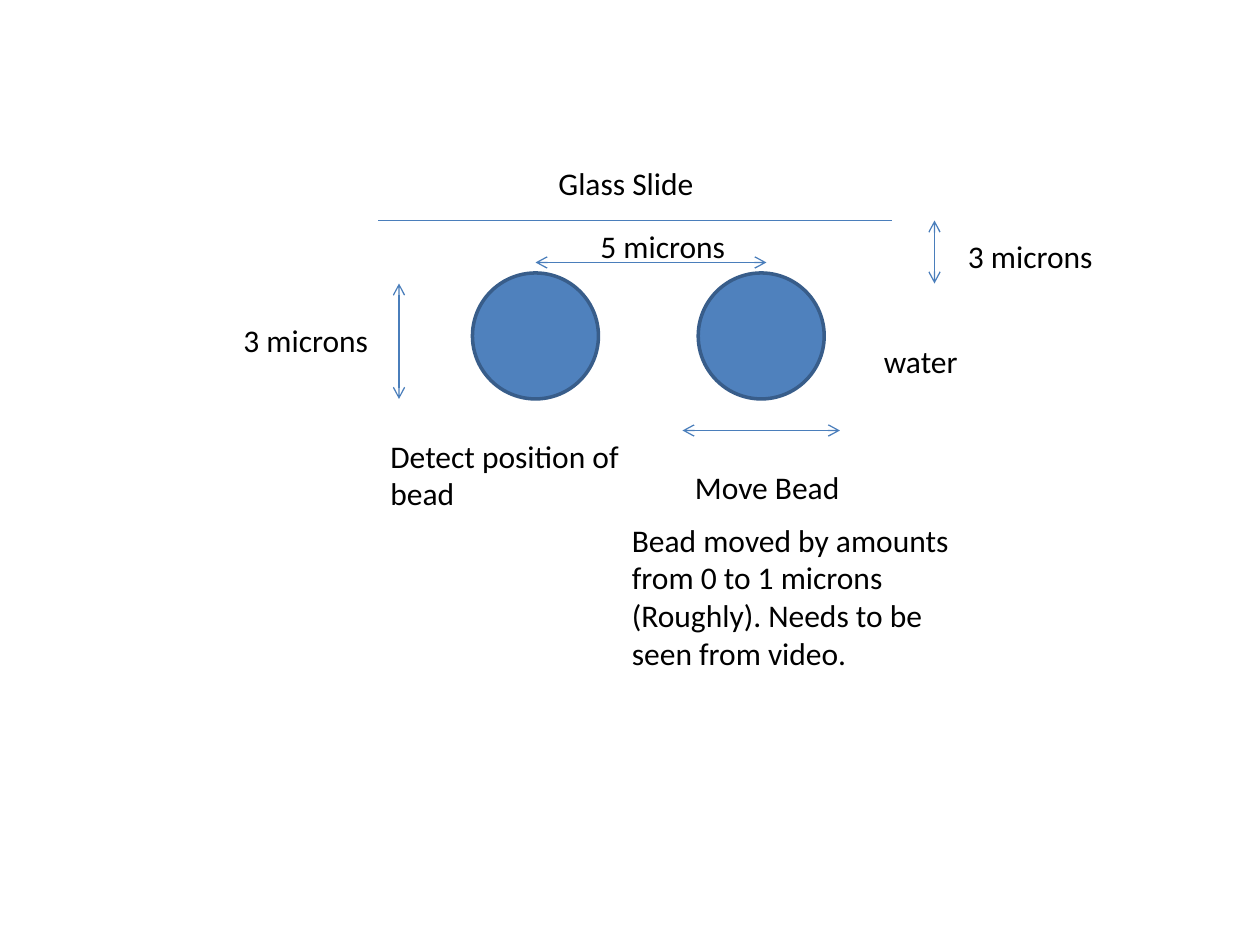
from lxml import etree
from pptx import Presentation
from pptx.dml.color import RGBColor
from pptx.enum.shapes import MSO_CONNECTOR, MSO_SHAPE
from pptx.enum.text import MSO_AUTO_SIZE
from pptx.oxml.ns import qn
from pptx.util import Inches, Pt

STRAIGHT = MSO_CONNECTOR.STRAIGHT
OVAL = MSO_SHAPE.OVAL
GROW = MSO_AUTO_SIZE.SHAPE_TO_FIT_TEXT

BEAD_FILL = RGBColor(0x4F, 0x81, 0xBD)
BEAD_EDGE = RGBColor(0x38, 0x5D, 0x8A)
LINE_BLUE = RGBColor(0x4A, 0x7E, 0xBB)
BLACK = RGBColor(0, 0, 0)

# Everything sits on a grid of 12 steps to the inch
STEPS = 12
BEAD_SIZE = 12
BEAD_TOP = 26
BEAD_LEFTS = [45, 66.5]

# Start column, start row, end column, end row
GLASS_SURFACE = (36, 21, 85, 21)
DIMENSIONS = [
    (65, 41, 80, 41),  # bead movement
    (38, 27, 38, 38),  # bead diameter
    (89, 21, 89, 27),  # depth below the glass
    (51, 25, 73, 25),  # bead spacing
]

# Text, column, row, width in steps, number of lines
LABELS = [
    ("Move Bead", 65, 44, 20, 1),
    ("Detect position of bead", 36, 41, 26, 2),
    ("Glass Slide", 52, 15, 28, 1),
    ("3 microns", 22, 30, 15, 1),
    ("3 microns", 91, 22, 17, 1),
    ("5 microns", 56, 21, 15, 1),
    ("water", 83, 32, 12, 1),
    ("Bead moved by amounts from 0 to 1 microns (Roughly). "
     "Needs to be seen from video.", 59, 49, 33, 4),
]
LINE_HEIGHT = 0.3
TEXT_MARGINS = 0.1


def grid(steps):
    return Inches(steps / STEPS)


def add_line(slide, ends, arrows=False):
    connector = slide.shapes.add_connector(STRAIGHT, *map(grid, ends))
    connector.line.color.rgb = LINE_BLUE
    connector.line.width = Pt(0.75)
    if arrows:
        outline = connector.line._get_or_add_ln()
        for end in ("a:headEnd", "a:tailEnd"):
            etree.SubElement(outline, qn(end), type="arrow")
    etree.SubElement(connector._element.spPr, qn("a:effectLst"))


def add_bead(slide, left):
    bead = slide.shapes.add_shape(
        OVAL, grid(left), grid(BEAD_TOP), grid(BEAD_SIZE), grid(BEAD_SIZE))
    bead.shadow.inherit = False
    bead.fill.solid()
    bead.fill.fore_color.rgb = BEAD_FILL
    bead.line.color.rgb = BEAD_EDGE
    bead.line.width = Pt(2)


def add_label(slide, text, column, row, width, lines):
    height = Inches(TEXT_MARGINS + LINE_HEIGHT * lines)
    label = slide.shapes.add_textbox(grid(column), grid(row), grid(width), height)
    frame = label.text_frame
    frame.word_wrap = True
    frame.auto_size = GROW
    frame.text = text
    font = frame.paragraphs[0].font
    font.name = "Calibri"
    font.size = Pt(18)
    font.color.rgb = BLACK


def main():
    prs = Presentation()
    prs.slide_width, prs.slide_height = Inches(10), Inches(7.5)
    slide = prs.slides.add_slide(prs.slide_layouts[6])

    # Glass surface and the two beads
    add_line(slide, GLASS_SURFACE)
    for left in BEAD_LEFTS:
        add_bead(slide, left)

    # Dimension arrows and labels
    for ends in DIMENSIONS:
        add_line(slide, ends, arrows=True)
    for label in LABELS:
        add_label(slide, *label)

    prs.save("out.pptx")


if __name__ == "__main__":
    main()
